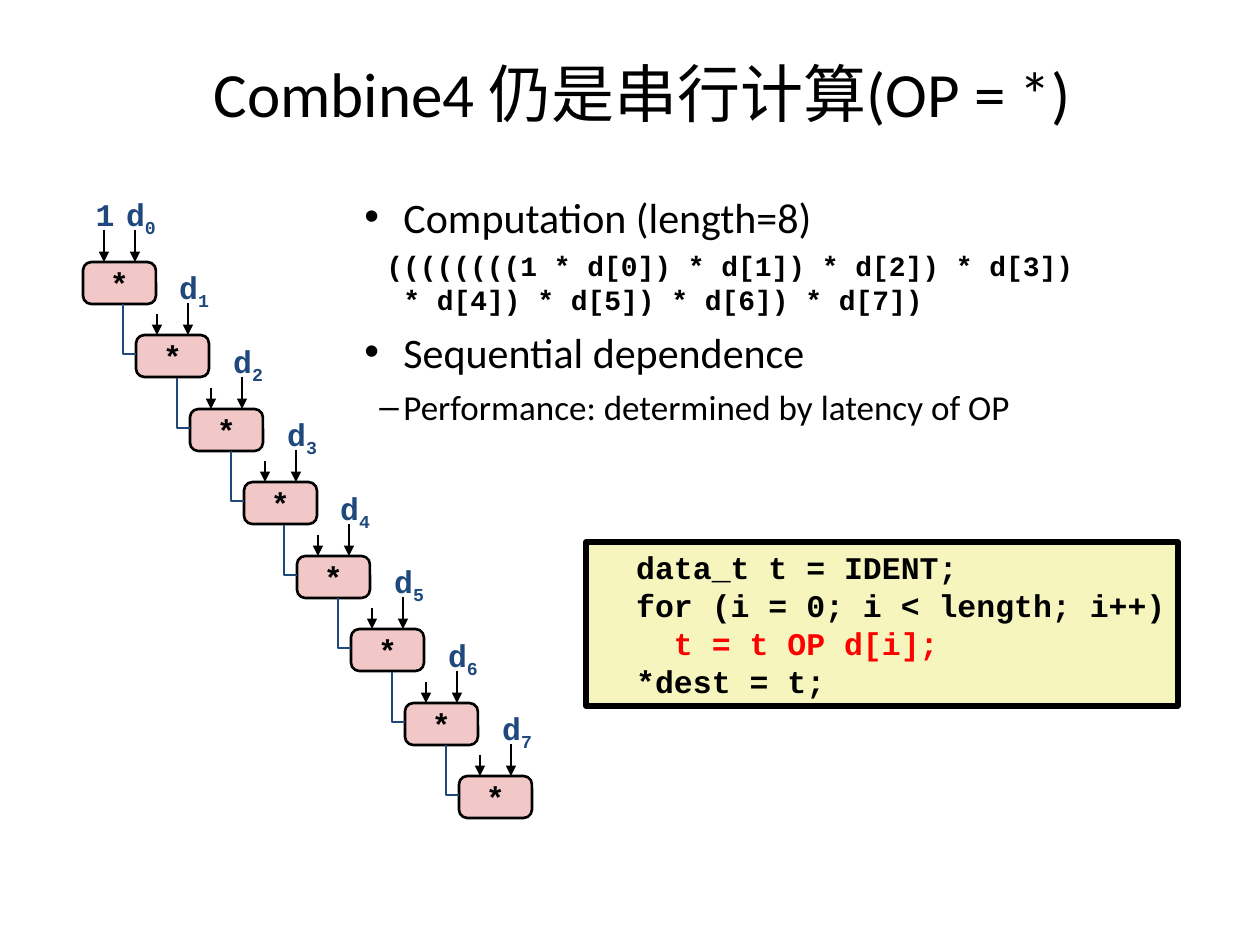
import pptx
import pptx.util
import pptx.dml.color
import pptx.enum.shapes
import pptx.enum.text
import pptx.oxml.xmlchemy

COLORS = {"ink": "000000", "blue": "1F497D", "pink": "F1C7C7",
          "cream": "F6F5BD", "red": "FF0000"}
RGB = {name: pptx.dml.color.RGBColor.from_string(code)
       for name, code in COLORS.items()}
MONO = "Courier New"
SHAPE = pptx.enum.shapes.MSO_SHAPE
ALIGN = pptx.enum.text.PP_ALIGN
ANCHOR = pptx.enum.text.MSO_ANCHOR
Pt = pptx.util.Pt
make = pptx.oxml.xmlchemy.OxmlElement
SCALE = 914400 / 126


def px(*sizes):
    return [pptx.util.Emu(round(size * SCALE)) for size in sizes]


def write(frame, text, sub="", size=18, font=MONO, color="ink", bold=True,
          align=ALIGN.LEFT, before=0, lead=None, left=0, hang=0, bullet=None):
    """Add one paragraph to the frame, with an optional subscript and bullet."""
    para = frame.paragraphs[0]
    if para.runs:
        para = frame.add_paragraph()
    para.alignment = align
    para.space_before = Pt(before)
    if lead:
        para.line_spacing = Pt(lead)
    props = para._p.get_or_add_pPr()
    margin, indent = px(left, -hang)
    props.set("marL", str(margin))
    props.set("indent", str(indent))
    if bullet:
        face = make("a:buFont")
        face.set("typeface", "Arial")
        mark = make("a:buChar")
        mark.set("char", bullet)
        props.extend([face, mark])
    for part, base in ((text, "0"), (sub, "-25000")):
        if not part:
            continue
        for i, line in enumerate(part.split("\n")):
            if i:
                para.add_line_break()
            run = para.add_run()
            run.text = line
            run.font.size = Pt(size)
            run.font.name = font
            run.font.bold = bold
            run.font.color.rgb = RGB[color]
            run._r.get_or_add_rPr().set("baseline", base)


prs = pptx.Presentation()
prs.slide_width, prs.slide_height = px(1260, 945)
slide = prs.slides.add_slide(prs.slide_layouts[6])
shapes = slide.shapes

# Title
title = shapes.add_textbox(*px(45, 39, 1194, 107)).text_frame
title.word_wrap = True
title.vertical_anchor = ANCHOR.MIDDLE
write(title, "Combine4 仍是串行计算(OP = *)", size=36, font="Calibri",
      bold=False, align=ALIGN.CENTER)

# Bullet list
body = shapes.add_textbox(*px(352, 185, 848, 276)).text_frame
body.word_wrap = True
plain = {"font": "Calibri", "bold": False, "left": 39}
write(body, "Computation (length=8)", size=24, hang=39, bullet="•", **plain)
write(body, "((((((((1 * d[0]) * d[1]) * d[2]) * d[3])\n* d[4]) * d[5]) * d[6]) * d[7])",
      size=16, before=4, lead=19.2, left=39, hang=17)
write(body, "Sequential dependence", size=24, before=6, hang=39, bullet="•", **plain)
write(body, "Performance: determined by latency of OP", size=20, before=5,
      hang=24, bullet="–", **plain)

# Chain of multiplications, one step down and right per element
labels = [("1", "", 89, 189, 32, 50)]
for i in range(8):
    x, y = 83 + 376 * i // 7, 262 + 147 * i // 2
    box = shapes.add_shape(SHAPE.ROUNDED_RECTANGLE, *px(x, y, 73, 42))
    box.adjustments[0] = 0.2
    box.shadow.inherit = False
    box.fill.solid()
    box.fill.fore_color.rgb = RGB["pink"]
    box.line.color.rgb = RGB["ink"]
    box.line.width = Pt(1.5)
    box.text_frame.word_wrap = False
    box.text_frame.vertical_anchor = ANCHOR.MIDDLE
    write(box.text_frame, "*", align=ALIGN.CENTER)

    for shift, rise in ((21, 21 if i else 32), (52, 32)):
        arrow = shapes.add_connector(pptx.enum.shapes.MSO_CONNECTOR.STRAIGHT,
                                     *px(x + shift, y - rise, x + shift, y))
        arrow.line.color.rgb = RGB["ink"]
        arrow.line.width = Pt(1.5)
        head = make("a:tailEnd")
        head.set("type", "triangle")
        arrow.line._get_or_add_ln().append(head)
        arrow._element.spPr.append(make("a:effectLst"))

    if i:
        route = shapes.build_freeform(x - 13, y - 31, SCALE)
        route.add_line_segments([(x - 13, y + 19), (x, y + 19)], close=False)
        elbow = route.convert_to_shape()
        elbow.shadow.inherit = False
        elbow.fill.background()
        elbow.line.color.rgb = RGB["blue"]
        elbow.line.width = Pt(1.5)
    labels.append(("d", str(i), x + 31, y - 73, 54, 55))

for text, sub, *place in labels:
    label = shapes.add_textbox(*px(*place)).text_frame
    label.margin_left, label.margin_right = px(6, 6)
    label.word_wrap = True
    write(label, text, sub, color="blue", align=ALIGN.CENTER)

# Code
code = shapes.add_shape(SHAPE.RECTANGLE, *px(586, 542, 592, 164))
code.shadow.inherit = False
code.fill.solid()
code.fill.fore_color.rgb = RGB["cream"]
code.line.color.rgb = RGB["ink"]
code.line.width = Pt(3)
code.text_frame.word_wrap = False
code.text_frame.vertical_anchor = ANCHOR.TOP
for line, color in (("  data_t t = IDENT;", "ink"),
                    ("  for (i = 0; i < length; i++)", "ink"),
                    ("    t = t OP d[i];", "red"),
                    ("  *dest = t;", "ink")):
    write(code.text_frame, line, color=color, lead=21.6)

prs.save("out.pptx")
